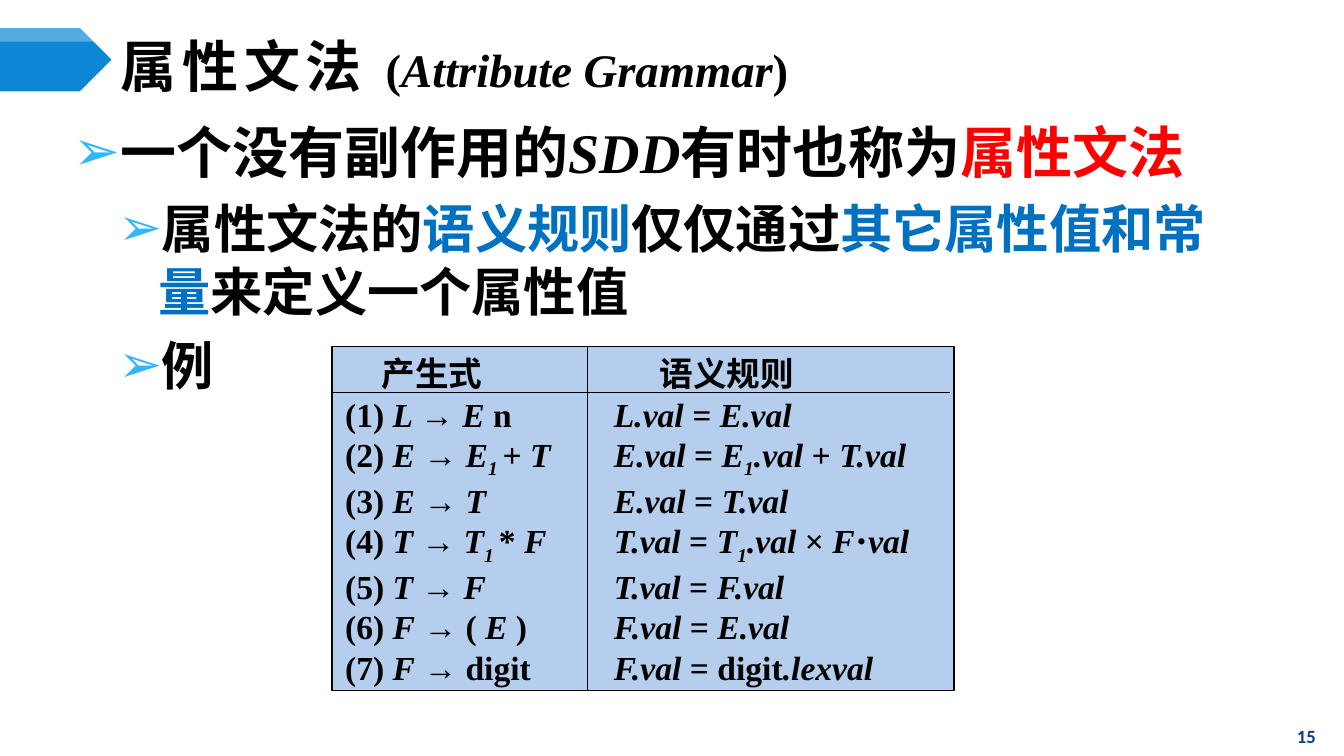
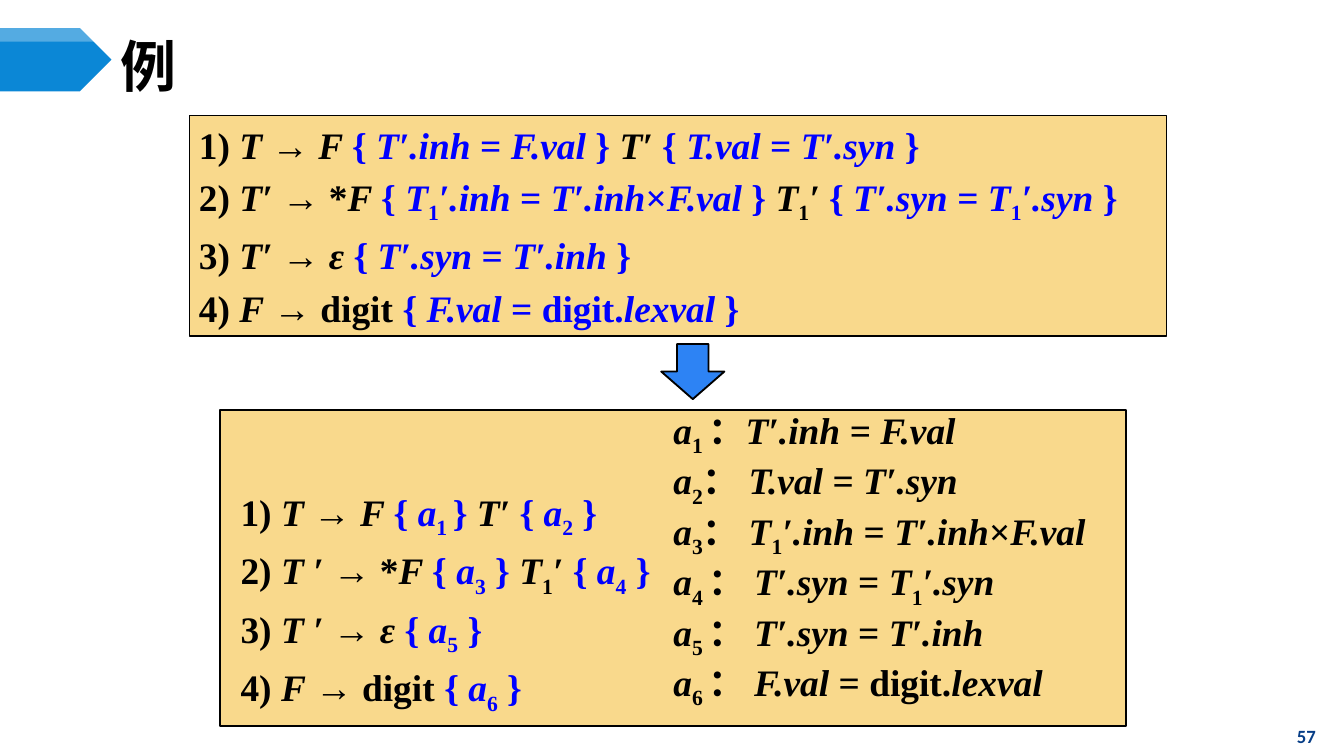
"""Build two lecture slides on attribute grammars and translation schemes."""
from lxml import etree
from pptx import Presentation
from pptx.dml.color import RGBColor
from pptx.enum import shapes as kinds, text as layout
from pptx.oxml.ns import qn
from pptx.util import Inches, Pt

BLACK = RGBColor(0x00, 0x00, 0x00)
WHITE = RGBColor(0xFF, 0xFF, 0xFF)
RED = RGBColor(0xFF, 0x00, 0x00)
TERM_BLUE = RGBColor(0x00, 0x70, 0xC0)
ACTION_BLUE = RGBColor(0x00, 0x00, 0xFF)
BAND_BLUE = RGBColor(0x0B, 0x87, 0xD6)
BULLET_BLUE = RGBColor(0x31, 0xB6, 0xFD)
ARROW_BLUE = RGBColor(0x2D, 0x83, 0xF4)
RULES_BLUE = RGBColor(0xB5, 0xCE, 0xED)
SCHEME_YELLOW = RGBColor(0xF9, 0xD9, 0x8C)
NUMBER_BLUE = RGBColor(0x07, 0x3E, 0x87)
SERIF, SANS = "Times New Roman", "Noto Sans CJK SC"
ITALIC, SUB, TERM, ACTION, WARN, SPACED = MARKS = "/_|@^~"
ACCENTS = {TERM: TERM_BLUE, ACTION: ACTION_BLUE, WARN: RED}


def write(frame, markup, size, font=SERIF, color=BLACK, left=0, hang=0,
          before=0, leading=None, bullet=False, tabs=()):
    """Add a paragraph whose marks switch italic, subscript, colour and spacing."""
    paragraph = frame.paragraphs[0]
    if paragraph.runs:
        paragraph = frame.add_paragraph()
        paragraph.space_before = Pt(before)
    else:
        paragraph.space_before = Pt(0)
    paragraph.alignment = layout.PP_ALIGN.LEFT
    if leading:
        paragraph.line_spacing = Pt(leading)
    props = paragraph._p.get_or_add_pPr()
    if hang:
        props.set("marL", str(Inches(left)))
        props.set("indent", str(-Inches(hang)))
    if bullet:
        tint = etree.SubElement(props, qn("a:buClr"))
        etree.SubElement(tint, qn("a:srgbClr"), val=str(BULLET_BLUE))
        etree.SubElement(props, qn("a:buChar"), char="➢")
    if tabs:
        stops = etree.SubElement(props, qn("a:tabLst"))
        for stop in tabs:
            etree.SubElement(stops, qn("a:tab"), pos=str(Inches(stop)), algn="l")
    paragraph.font.size = Pt(size)
    paragraph.font.name = font
    paragraph.font.bold = True
    paragraph.font.color.rgb = color
    for mark in MARKS:
        markup = markup.replace(mark, f"¦{mark}¦")
    active = set()
    for piece in filter(None, markup.split("¦")):
        if piece in MARKS:
            active ^= {piece}
            continue
        run = paragraph.add_run()
        run.text = piece
        if ITALIC in active:
            run.font.italic = True
        for mark in active & set(ACCENTS):
            run.font.color.rgb = ACCENTS[mark]
        run_props = run._r.get_or_add_rPr()
        if SUB in active:
            run_props.set("baseline", "-25000")
        if SPACED in active:
            run_props.set("spc", "300")
        etree.SubElement(run_props, qn("a:ea"), typeface=SANS)
    return paragraph


def block(slide, kind, x, y, w, h, fill, outline=None):
    """Add a flat preset shape, with a black outline if a width is given."""
    shape = slide.shapes.add_shape(kind, Inches(x), Inches(y), Inches(w), Inches(h))
    shape.shadow.inherit = False
    shape.fill.solid()
    shape.fill.fore_color.rgb = fill
    if outline:
        shape.line.color.rgb = BLACK
        shape.line.width = Pt(outline)
    else:
        shape.line.fill.background()
    return shape


prs = Presentation()
prs.slide_width = Inches(10)
prs.slide_height = prs.slide_width * 9 // 16
SHAPE = kinds.MSO_SHAPE
ANCHOR = layout.MSO_ANCHOR
grammar = prs.slides.add_slide(prs.slide_layouts[1])
example = prs.slides.add_slide(prs.slide_layouts[5])

for slide, heading, font, number in (
        (grammar, "~属性文法 ~(/Attribute Grammar/)", SERIF, "15"),
        (example, "~例~", SANS, "57")):
    block(slide, SHAPE.PENTAGON, 0, 0.21, 0.83, 0.47, BAND_BLUE)
    gloss = block(slide, SHAPE.PENTAGON, 0, 0.21, 0.83, 0.1, WHITE)
    white = gloss.fill._xPr.find(qn("a:solidFill"))[0]
    etree.SubElement(white, qn("a:alpha"), val="30000")

    title = slide.shapes.title
    title.left, title.top = Inches(0.83), Inches(0.29)
    title.width, title.height = Inches(8.67), Inches(0.39)
    page = slide.shapes.add_textbox(Inches(9.44), Inches(5.33), Inches(0.56), Inches(0.3))
    for frame in (title.text_frame, page.text_frame):
        frame.word_wrap = True
        frame.auto_size = layout.MSO_AUTO_SIZE.NONE
        frame.vertical_anchor = ANCHOR.MIDDLE
        frame.margin_left = frame.margin_right = Inches(0.07)
        frame.margin_top = frame.margin_bottom = Inches(0.04)
    words = write(title.text_frame, heading, 30, font)
    for run in words.runs[1:]:
        run.font.size = Pt(25)
    write(page.text_frame, number, 10, "Calibri", NUMBER_BLUE).alignment = layout.PP_ALIGN.CENTER

body = grammar.placeholders[1]
body.left, body.top, body.width, body.height = (Inches(v) for v in (0.48, 0.85, 8.66, 3.53))
points = body.text_frame
points.auto_size = layout.MSO_AUTO_SIZE.NONE
points.margin_left = points.margin_right = Inches(0.07)
points.margin_top = points.margin_bottom = Inches(0.04)
write(points, "一个没有副作用的/SDD/有时也称为^属性文法^", 30,
      left=0.3, hang=0.3, leading=35, bullet=True)
for point in ("属性文法的|语义规则|仅仅通过|其它属性值和常量|来定义一个属性值", "例"):
    write(points, point, 28, left=0.63, hang=0.3, before=5.4,
          leading=34, bullet=True).level = 1

rules = block(grammar, SHAPE.RECTANGLE, 2.47, 2.58, 4.63, 2.56, RULES_BLUE, 0.75).text_frame
rules.vertical_anchor = ANCHOR.TOP
write(rules, "\t产生式\t语义规则", 18, SANS, tabs=(0.27, 2.34))
for production in (
        "(1) /L /→ /E /n\t/L.val /= /E.val/",
        "(2) /E/ → /E_1 _/+ /T\tE.val /=/ E_1_.val /+ /T.val/",
        "(3) /E/ → /T\tE.val /= /T.val/",
        "(4) /T/ → /T_1 _/* /F\tT.val /= /T_1_.val /× /F⋅val/",
        "(5) /T/ → /F\tT.val /= /F.val/",
        "(6) /F/ → ( /E/ )\t/F.val /= /E.val/",
        "(7) /F/ → digit\t/F.val /= digit/.lexval/"):
    write(rules, production, 18, tabs=(2,))
for ends in ((2.47, 2.92, 7.07, 2.92), (4.37, 2.58, 4.37, 5.14)):
    rule = grammar.shapes.add_connector(kinds.MSO_CONNECTOR.STRAIGHT, *map(Inches, ends))
    rule.line.color.rgb = BLACK
    rule.line.width = Pt(0.75)
    etree.SubElement(rule._element.spPr, qn("a:effectLst"))

block(example, SHAPE.RECTANGLE, 1.64, 3.05, 6.74, 2.35, SCHEME_YELLOW, 1)
scheme = block(example, SHAPE.RECTANGLE, 1.41, 0.86, 7.27, 1.64, SCHEME_YELLOW, 1)
actions = example.shapes.add_textbox(Inches(4.94), Inches(3.05), Inches(3.96), Inches(1.82))
short_scheme = example.shapes.add_textbox(Inches(1.72), Inches(3.6), Inches(3.24), Inches(1.25))
for holder, hang, leading, lines in (
        (scheme, 0, None, (
            "1) /T /→ /F /@{ /T′.inh /= /F.val/ } @/T′ /@{ /T.val /= /T′.syn/ }@",
            "2) /T′ /→ */F /@{ /T/_1_/′.inh /= /T′.inh/×/F.val/ } @/T/_1_/′ /"
            "@{ /T′.syn /= /T/_1_/′.syn/ }@",
            "3) /T′ /→ /ε /@{ /T′.syn /= /T′.inh/ }@",
            "4) /F/ → digit @{ /F.val/ = digit./lexval/ }@")),
        (actions, 0.28, 23, (
            "/a/_1 _：/T′.inh /= /F.val/",
            "/a/_2_： /T.val /= /T′.syn/",
            "/a/_3_： /T/_1_/′.inh /= /T′.inh/×/F.val/",
            "/a/_4 _： /T′.syn /= /T/_1_/′.syn/",
            "/a/_5 _： /T′.syn /= /T′.inh/",
            "/a/_6 _： /F.val/ = digit./lexval/")),
        (short_scheme, 0.28, None, (
            "1) /T /→ /F /@{ /a/_1 _} @/T′ /@{ /a/_2_ }@",
            "2) /T ′ /→ */F /@{ /a/_3_ } @/T/_1_/′ /@{ /a/_4_ }@",
            "3) /T ′ /→ /ε /@{ /a/_5_ }@",
            "4) /F/ → digit @{ /a/_6_ }@"))):
    frame = holder.text_frame
    frame.word_wrap = True
    frame.vertical_anchor = ANCHOR.MIDDLE if holder is scheme else ANCHOR.TOP
    frame.margin_left = frame.margin_right = Inches(0.07)
    frame.margin_top = frame.margin_bottom = Inches(0.04)
    for line in lines:
        write(frame, line, 20, left=hang, hang=hang, before=4, leading=leading)
block(example, SHAPE.DOWN_ARROW, 4.92, 2.56, 0.47, 0.41, ARROW_BLUE, 1)

prs.save("out.pptx")
